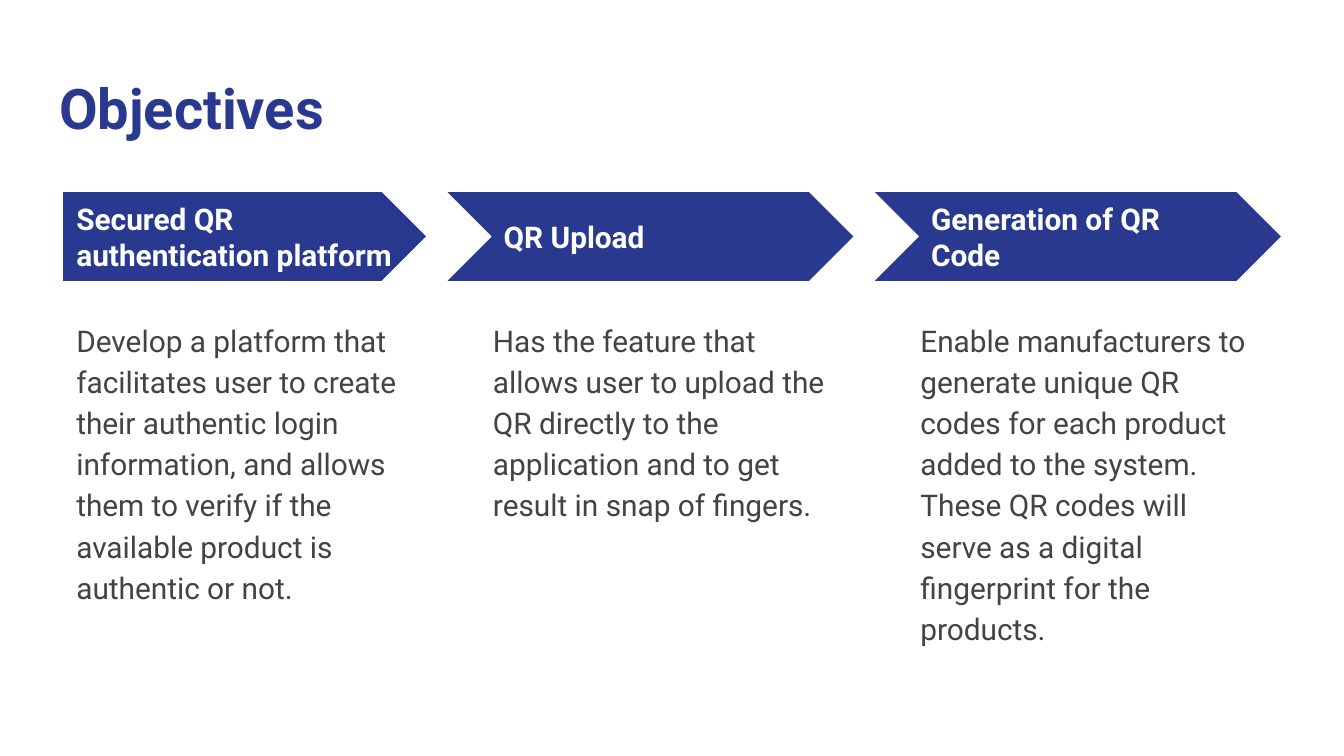
from pptx import Presentation
from pptx.dml.color import RGBColor
from pptx.enum import shapes, text
from pptx.util import Inches, Pt

NAVY, GREY, WHITE = "2A3990", "434343", "FFFFFF"
FONT = "Roboto"
ARROW_TOP, ARROW_H = 1.43, 0.66
BODY_TOP, BODY_W, BODY_H = 2.26, 2.7, 2.9
FIRST_LEFT, FIRST_W = 0.47, 2.7
STEP_W, GAP = 3.02, 0.16

OBJECTIVES = [
    ("Secured QR authentication platform",
     "Develop a platform that facilitates user to create their authentic login "
     "information, and allows them to verify if the available product is "
     "authentic or not."),
    ("QR Upload",
     "Has the feature that allows user to upload the QR directly to the "
     "application and to get result in snap of fingers."),
    ("Generation of QR Code",
     "Enable manufacturers to generate unique QR codes for each product added "
     "to the system. These QR codes will serve as a digital fingerprint for "
     "the products."),
]


def color(hex_code):
    return RGBColor.from_string(hex_code)


def write(sp, words, size, hex_code, bold=False, anchor=text.MSO_ANCHOR.TOP):
    """Fill a shape with one left-aligned paragraph and return it."""
    tf = sp.text_frame
    tf.word_wrap = True
    tf.auto_size = text.MSO_AUTO_SIZE.NONE
    tf.vertical_anchor = anchor
    tf.margin_left = tf.margin_right = tf.margin_top = tf.margin_bottom = Inches(0.1)
    p = tf.paragraphs[0]
    p.alignment = text.PP_ALIGN.LEFT
    r = p.add_run()
    r.text = words
    r.font.name, r.font.size, r.font.bold = FONT, Pt(size), bold
    r.font.color.rgb = color(hex_code)
    return p


def add_title(s, words, left, top, width, height):
    sp = s.shapes.title
    sp.left, sp.top, sp.width, sp.height = map(Inches, (left, top, width, height))
    write(sp, words, 30, NAVY, bold=True)


def add_text(s, left, top, width, height, *args, **kwargs):
    sp = s.shapes.add_textbox(*map(Inches, (left, top, width, height)))
    return write(sp, *args, **kwargs)


def add_objective(s, left, width, heading, body, first):
    """Place an arrow with its heading, and the description below it."""
    kind = shapes.MSO_SHAPE.PENTAGON if first else shapes.MSO_SHAPE.CHEVRON
    arrow = s.shapes.add_shape(
        kind, *map(Inches, (left, ARROW_TOP, width, ARROW_H)))
    arrow.shadow.inherit = False
    arrow.fill.solid()
    arrow.fill.fore_color.rgb = color(NAVY)
    arrow.line.fill.background()

    # Chevrons need an indent to clear their notch.
    heading_indent, body_indent = (0, 0) if first else (0.32, 0.24)
    heading_w = 2.8 if first else 2.47
    add_text(s, left + heading_indent, ARROW_TOP + 0.16, heading_w, 0.34,
             heading, 16, WHITE, bold=True, anchor=text.MSO_ANCHOR.MIDDLE)
    p = add_text(s, left + body_indent, BODY_TOP, BODY_W, BODY_H, body, 16, GREY)
    p.line_spacing = 1.15
    p.space_after = Pt(8)


def main():
    prs = Presentation()
    prs.slide_width = Inches(10)
    prs.slide_height = prs.slide_width * 9 // 16
    s = prs.slides.add_slide(prs.slide_layouts[5])
    s.background.fill.solid()
    s.background.fill.fore_color.rgb = color(WHITE)
    add_title(s, "Objectives", 0.34, 0.45, 9.32, 0.66)
    left = FIRST_LEFT
    for i, (heading, body) in enumerate(OBJECTIVES):
        width = STEP_W if i else FIRST_W
        add_objective(s, left, width, heading, body, first=i == 0)
        left += width + GAP
    prs.save("out.pptx")


if __name__ == "__main__":
    main()
